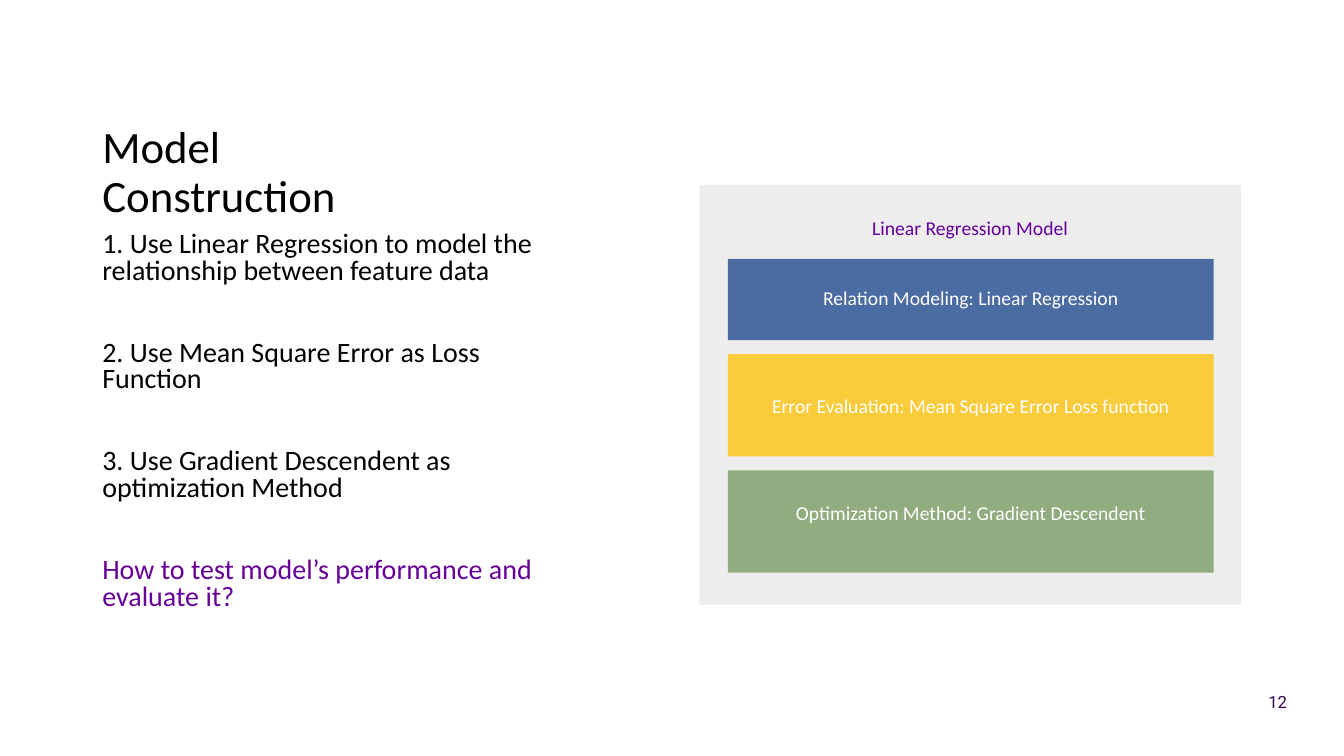
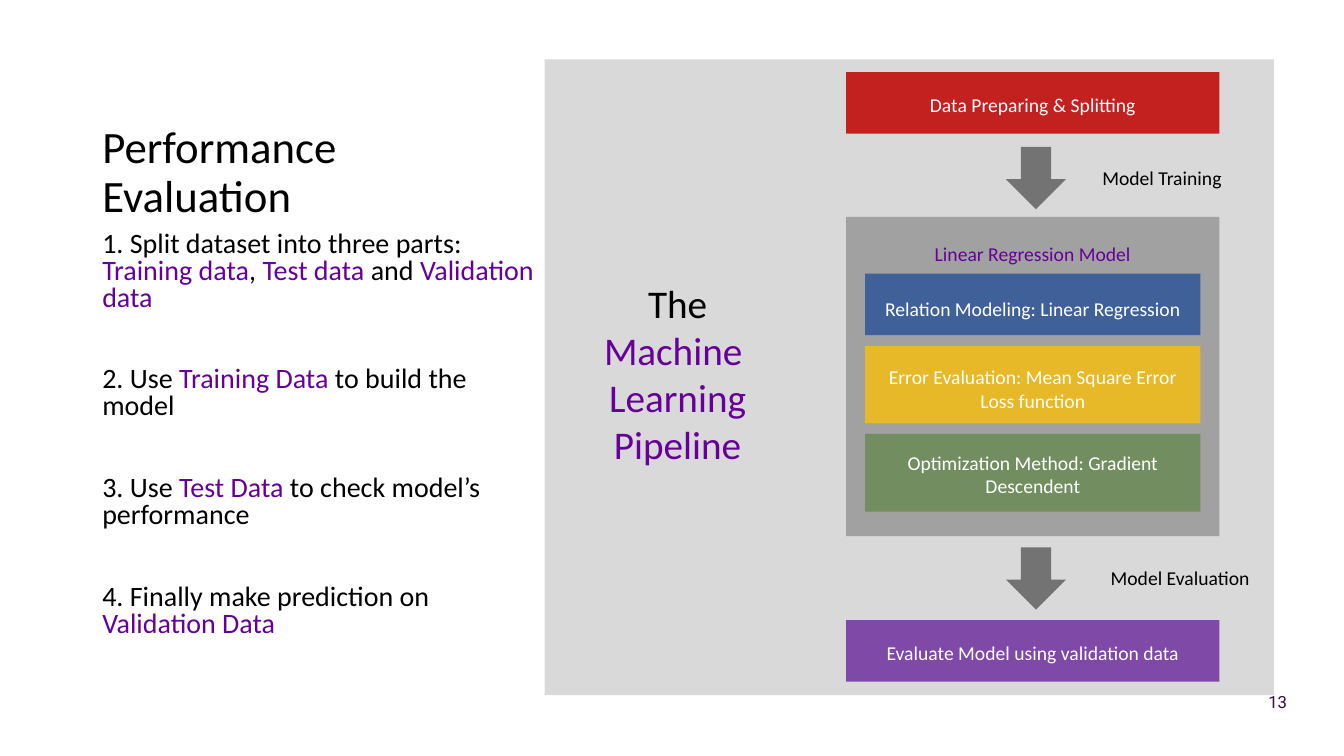
"""Build two slides on constructing and evaluating a linear regression model."""
from lxml import etree
from pptx import Presentation
from pptx.dml.color import RGBColor
from pptx.enum import shapes, text
from pptx.oxml.ns import qn
from pptx.util import Pt

HUES = {
    "black": "000000", "white": "FFFFFF", "accent": "660099", "page": "3B054F",
    "pale": "D8D8D8", "dark": "262626", "arrow": "3A3838", "blue": "2F5597",
    "gold": "FFC000", "green": "548235", "red": "C00000", "purple": "7030A0",
}
RECT = shapes.MSO_SHAPE.RECTANGLE
DOWN = shapes.MSO_SHAPE.DOWN_ARROW
LEFT, MID, RIGHT = text.PP_ALIGN.LEFT, text.PP_ALIGN.CENTER, text.PP_ALIGN.RIGHT
TOP, CORE, BASE = text.MSO_ANCHOR.TOP, text.MSO_ANCHOR.MIDDLE, text.MSO_ANCHOR.BOTTOM


def write(shape, paras, size=14, align=MID, anchor=CORE, font="Calibri",
          line=1.0, first=0, gap=0, top=3.6, bottom=3.6):
    """Fill a shape with paragraphs, each a list of (words, hue) runs."""
    frame = shape.text_frame
    frame.word_wrap = True
    frame.vertical_anchor = anchor
    frame.margin_left = frame.margin_right = Pt(7.2)
    frame.margin_top, frame.margin_bottom = Pt(top), Pt(bottom)
    for i, runs in enumerate(paras):
        para = frame.add_paragraph() if i else frame.paragraphs[0]
        para.alignment = align
        para.line_spacing = line
        para.space_before = Pt(gap if i else first)
        for words, hue in runs:
            if words == "\n":
                para.add_line_break()
                continue
            run = para.add_run()
            run.text = words
            run.font.size = Pt(size)
            run.font.name = font
            run.font.color.rgb = RGBColor.from_string(HUES[hue])


def block(slide, kind, x, y, w, h, hue, alpha):
    """Add a borderless, partly transparent shape."""
    shape = slide.shapes.add_shape(kind, Pt(x), Pt(y), Pt(w), Pt(h))
    shape.shadow.inherit = False
    shape.line.fill.background()
    shape.fill.solid()
    shape.fill.fore_color.rgb = RGBColor.from_string(HUES[hue])
    color = shape.fill._xPr.find(".//" + qn("a:srgbClr"))
    etree.SubElement(color, qn("a:alpha"), val=str(alpha * 1000))
    return shape


PAGES = [
    {
        "title": ["Model ", "Construction"], "num": "12",
        "body": [
            [("1. Use Linear Regression to model the relationship between feature data", "black")],
            [("2. Use Mean Square Error as Loss Function", "black")],
            [("3. Use Gradient Descendent as optimization Method", "black")],
            [("How to test model’s performance and evaluate it?", "accent")],
        ],
        "panel": (499.5, 132, 387, 300, "pale", 46), "head": 22.5,
        "left": 520, "width": 347, "start": 185, "gap": 10,
        "tall": [58, 73, 73], "shift": [-1, 0, -6],
    },
    {
        "title": ["Performance", "Evaluation"], "num": "13",
        "body": [
            [("1. Split dataset into three parts: ", "black"), ("Training data", "accent"),
             (", ", "black"), ("Test data ", "accent"), ("and ", "black"),
             ("Validation data", "accent")],
            [("2. Use ", "black"), ("Training Data ", "accent"), ("to build the model", "black")],
            [("3. Use ", "black"), ("Test Data", "accent"),
             (" to check model’s performance", "black")],
            [("4. Finally make prediction on ", "black"), ("Validation Data", "accent")],
        ],
        "panel": (604.5, 155, 266.5, 228, "dark", 31), "head": 18,
        "left": 618, "width": 239.5, "start": 195.5, "gap": 7.5,
        "tall": [44, 55.5, 55.5], "shift": [3, 3, 1],
    },
]
STEPS = [
    ("Relation Modeling: Linear Regression", "blue", 85),
    ("Error Evaluation: Mean Square Error Loss function", "gold", 75),
    ("Optimization Method: Gradient Descendent", "green", 60),
]

deck = Presentation()
deck.slide_width, deck.slide_height = Pt(960), Pt(540)

for page in PAGES:
    slide = deck.slides.add_slide(deck.slide_layouts[6])
    add = slide.shapes.add_textbox

    upper, lower = page["title"]
    write(add(Pt(66), Pt(36), Pt(310), Pt(126)),
          [[(upper, "black"), ("\n", "black"), (lower, "black")]],
          32, LEFT, BASE, line=0.9)
    write(add(Pt(66), Pt(162), Pt(330), Pt(300)), page["body"],
          20, LEFT, TOP, line=0.8, first=10, gap=39.3)
    write(add(Pt(894.5), Pt(487), Pt(32), Pt(29)), [[(page["num"], "page")]],
          12, RIGHT, font="Roboto")

    if page is PAGES[1]:
        block(slide, RECT, 389, 42.5, 521, 454, "black", 15)
        write(add(Pt(360), Pt(196), Pt(248), Pt(143)),
              [[("The", "black")], [("Machine ", "accent")],
               [("Learning", "accent")], [("Pipeline", "accent")]], 28, anchor=TOP)
        for words, y, hue in [("Data Preparing & Splitting", 51.5, "red"),
                              ("Evaluate Model using validation data", 443, "purple")]:
            stage = block(slide, RECT, 604.5, y, 266.5, 44, hue, 85)
            write(stage, [[(words, "white")]], top=5.6)
        for words, x, y in [("Model Training", 746, 105), ("Model Evaluation", 759, 391)]:
            block(slide, DOWN, 718.5, y, 43, 44.5, "arrow", 63)
            write(add(Pt(x), Pt(y + 9.5), Pt(168), Pt(24.5)), [[(words, "black")]])

    panel = block(slide, RECT, *page["panel"])
    write(panel, [[("Linear Regression Model", "accent")]], anchor=TOP, top=page["head"])

    y = page["start"]
    for (words, hue, alpha), tall, shift in zip(STEPS, page["tall"], page["shift"]):
        step = block(slide, RECT, page["left"], y, page["width"], tall, hue, alpha)
        write(step, [[(words, "white")]],
              top=3.6 + max(0, 2 * shift), bottom=3.6 + max(0, -2 * shift))
        y += tall + page["gap"]

deck.save("out.pptx")
